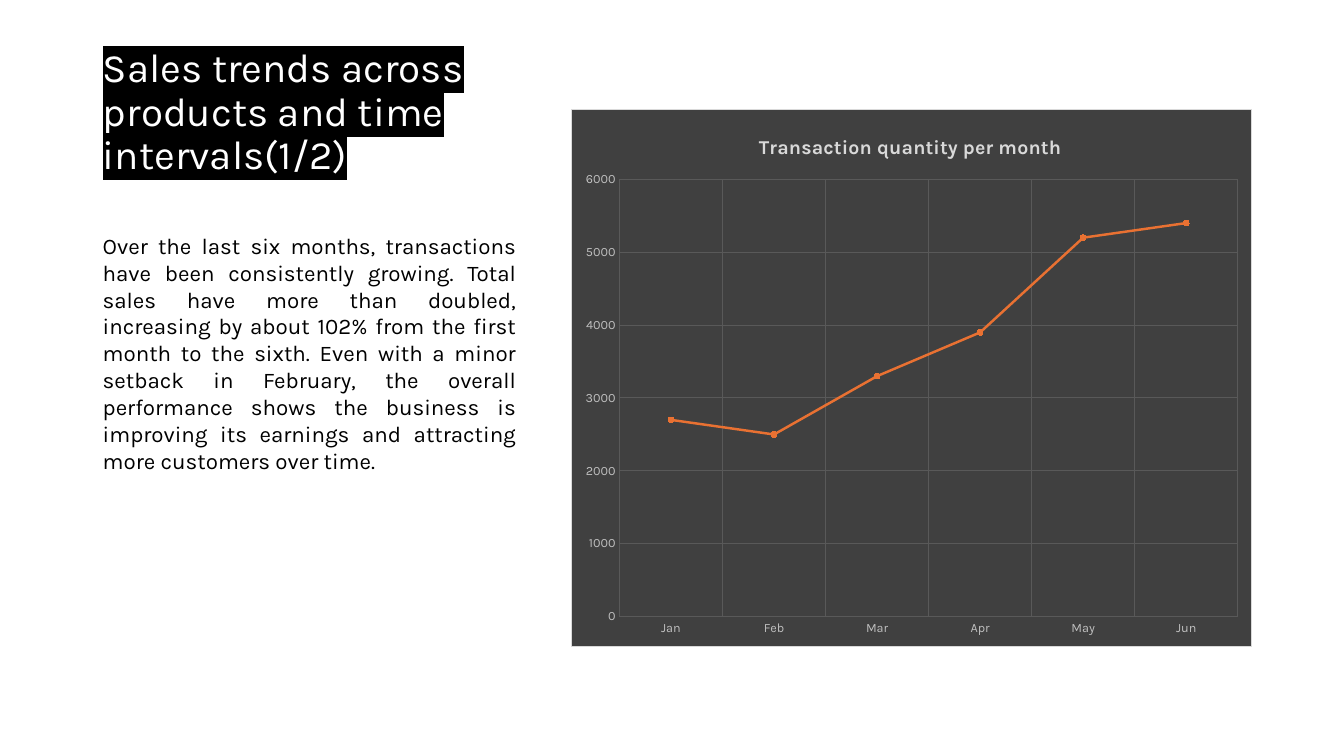
from lxml import etree
from pptx import Presentation, util as u
from pptx.chart.data import CategoryChartData
from pptx.dml.color import RGBColor
from pptx.enum import chart as ch, text
from pptx.oxml import parse_xml
from pptx.oxml.ns import nsdecls, qn

COLORS = {"black": "000000", "white": "FFFFFF", "panel": "404040", "grid": "595959",
          "border": "D9D9D9", "label": "BFBFBF", "line": "E97132"}
FONT = "Karla"


def write(frame, words, size, color, bold=False, highlight=None, **para_format):
    para = frame.paragraphs[0]
    for name, value in para_format.items():
        setattr(para, name, value)
    span = para.add_run()
    span.text = words
    span.font.name, span.font.size, span.font.bold = FONT, u.Pt(size), bold
    span.font.color.rgb = RGBColor.from_string(COLORS[color])
    if highlight:
        mark = parse_xml(f'<a:highlight {nsdecls("a")}><a:srgbClr val="{COLORS[highlight]}"/></a:highlight>')
        span.font.fill._xPr.find(qn("a:solidFill")).addnext(mark)


def place(parent, x, y, w=None, h=None):
    """Give a chart part a manual layout in fractions of the chart."""
    for old in parent.findall(qn("c:layout")):
        parent.remove(old)
    layout = parse_xml(f'<c:layout {nsdecls("c")}><c:manualLayout/></c:layout>')
    rules = {"xMode": "edge", "yMode": "edge", "x": x, "y": y, "w": w, "h": h}
    if w:
        rules = {"layoutTarget": "inner", **rules}
    for name, value in rules.items():
        if value is not None:
            etree.SubElement(layout[0], qn(f"c:{name}")).set("val", str(value))
    text_part = parent.find(qn("c:tx"))
    if text_part is not None:
        text_part.addnext(layout)
    else:
        parent.insert(0, layout)


deck = Presentation()
deck.slide_width, deck.slide_height = u.Cm(33.87), u.Cm(19.05)
page = deck.slides.add_slide(deck.slide_layouts[5])
page.background.fill.solid()
page.background.fill.fore_color.rgb = RGBColor.from_string(COLORS["white"])

# Heading
title = page.shapes.title
title.left, title.top, title.width, title.height = u.Cm(2.34), u.Cm(1.27), u.Cm(10.92), u.Cm(4.45)
title.text_frame.word_wrap = True
title.text_frame.auto_size = text.MSO_AUTO_SIZE.NONE
title.text_frame.vertical_anchor = text.MSO_ANCHOR.BOTTOM
title.text_frame.margin_bottom = u.Cm(1.22)
write(title.text_frame, "Sales trends across products and time intervals(1/2)", 28.8, "white",
      highlight="black", line_spacing=0.9, alignment=text.PP_ALIGN.LEFT)

# Commentary
box = page.shapes.add_textbox(u.Cm(2.34), u.Cm(5.72), u.Cm(10.92), u.Cm(10.59))
box.text_frame.word_wrap = True
write(box.text_frame,
      "Over the last six months, transactions have been consistently growing. Total sales have more "
      "than doubled, increasing by about 102% from the first month to the sixth. Even with a minor "
      "setback in February, the overall performance shows the business is improving its earnings "
      "and attracting more customers over time.",
      16, "black", alignment=text.PP_ALIGN.JUSTIFY, space_before=u.Pt(10))

# Line chart
data = CategoryChartData()
data.categories = ["Jan", "Feb", "Mar", "Apr", "May", "Jun"]
data.add_series("Series 1", [2700, 2500, 3300, 3900, 5200, 5400])
chart = page.shapes.add_chart(ch.XL_CHART_TYPE.LINE_MARKERS, u.Cm(14.4), u.Cm(2.75),
                              u.Cm(17.15), u.Cm(13.55), data).chart
chart.has_legend = False
chart.font.name, chart.font.size = FONT, u.Pt(10)
chart.has_title = True
write(chart.chart_title.text_frame, "Transaction quantity per month", 14, "border", bold=True)
place(chart.chart_title._element, 0.27, 0.04)
place(chart._chartSpace.chart.plotArea, 0.07, 0.13, 0.91, 0.815)

# Dark panel behind the chart
panel = parse_xml(
    f'<c:spPr {nsdecls("c", "a")}><a:solidFill><a:srgbClr val="{COLORS["panel"]}"/></a:solidFill>'
    f'<a:ln w="9525"><a:solidFill><a:srgbClr val="{COLORS["border"]}"/></a:solidFill></a:ln></c:spPr>')
chart._chartSpace.chart.addnext(panel)

# Axes and grid
for axis in (chart.category_axis, chart.value_axis):
    axis.major_tick_mark = axis.minor_tick_mark = ch.XL_TICK_MARK.NONE
    axis.format.line.fill.background()
    axis.has_major_gridlines = True
    grid = axis.major_gridlines.format.line
    grid.width = u.Pt(0.75)
    grid.color.rgb = RGBColor.from_string(COLORS["grid"])
    labels = axis.tick_labels.font
    labels.name, labels.size = FONT, u.Pt(9)
    labels.color.rgb = RGBColor.from_string(COLORS["label"])
chart.value_axis.minimum_scale, chart.value_axis.maximum_scale = 0, 6000
chart.value_axis.major_unit = 1000

# Monthly line
plot = chart.plots[0]
plot.vary_by_categories = False
months = plot.series[0]
months.smooth = False
months.format.line.width = u.Pt(1.75)
months.format.line.color.rgb = RGBColor.from_string(COLORS["line"])
months.marker.style, months.marker.size = ch.XL_MARKER_STYLE.CIRCLE, 4
months.marker.format.fill.solid()
months.marker.format.fill.fore_color.rgb = RGBColor.from_string(COLORS["line"])
months.marker.format.line.color.rgb = RGBColor.from_string(COLORS["line"])

deck.save("out.pptx")
